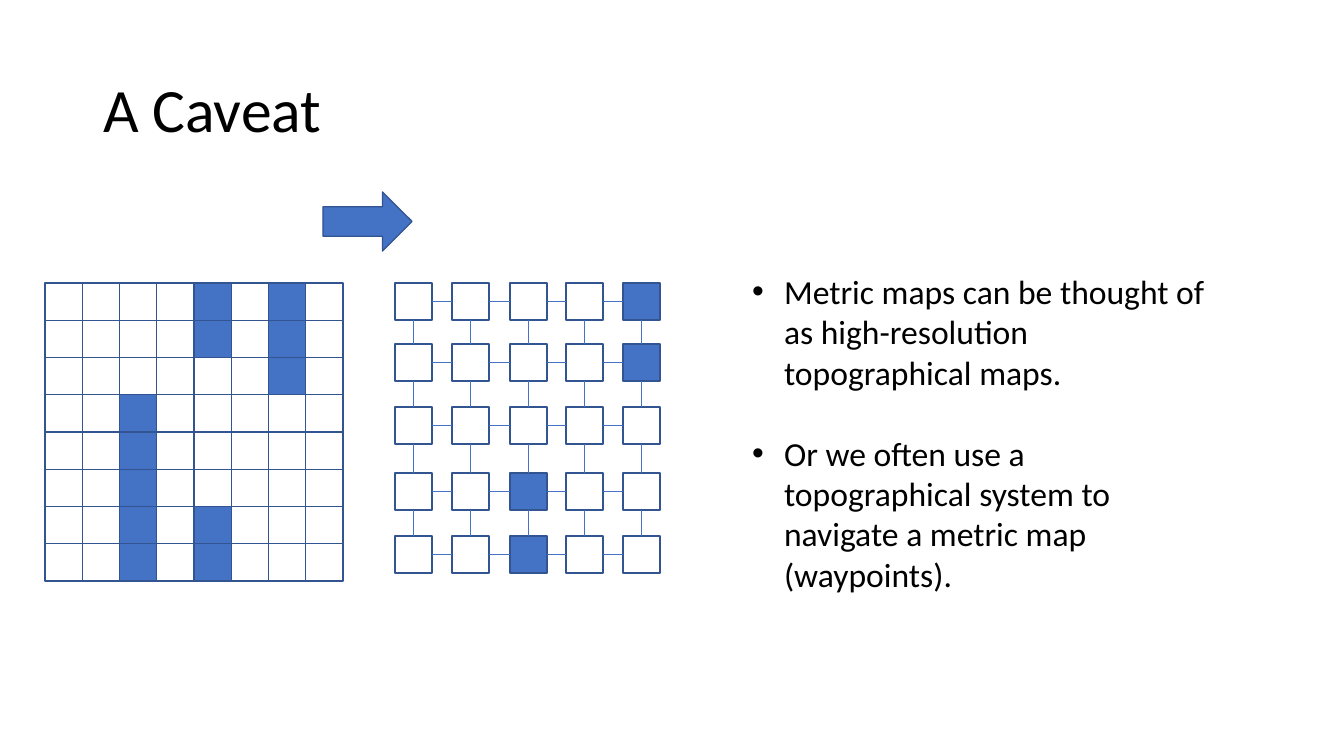
from pptx import Presentation
from pptx import util as u
from pptx.dml.color import RGBColor
from pptx.enum import shapes, text
from lxml import etree

EMU_PER_PX = 914400 / 100.8
BLUE, DARK_BLUE, WHITE, BLACK = "4472C4", "325491", "FFFFFF", "000000"
A_NS = "http://schemas.openxmlformats.org/drawingml/2006/main"
BOTTOM, RIGHT, TOP, LEFT = 2, 3, 0, 1

# "#" marks an occupied cell
METRIC_MAP = [
    "....#.#.",
    "....#.#.",
    "......#.",
    "..#.....",
    "..#.....",
    "..#.....",
    "..#.#...",
    "..#.#...",
]
TOPO_MAP = [
    "....#",
    "....#",
    ".....",
    "..#..",
    "..#..",
]
MAP_LEFT, MAP_TOP, MAP_SIZE = 45, 283, 298
NODE_LEFTS = [395, 452, 510, 566, 623]
NODE_TOPS = [283, 344, 407, 473, 536]
NODE_SIZE = 37

POINTS = [
    "Metric maps can be thought of as high-resolution topographical maps.",
    "Or we often use a topographical system to navigate a metric map (waypoints).",
]


def px(n):
    return u.Emu(round(n * EMU_PER_PX))


def rgb(color):
    return RGBColor.from_string(color)


def apply(obj, **values):
    for name, value in values.items():
        setattr(obj, name, value)


def place(sp, left, top, width, height):
    apply(sp, left=px(left), top=px(top), width=px(width), height=px(height))


def add_box(parent, kind, left, top, width, height, fill):
    sp = parent.add_shape(kind, px(left), px(top), px(width), px(height))
    sp.shadow.inherit = False
    sp.fill.solid()
    sp.fill.fore_color.rgb = rgb(fill)
    sp.line.color.rgb = rgb(DARK_BLUE)
    sp.line.width = u.Pt(1)
    return sp


def add_cell(parent, left, top, size, mark):
    fill = BLUE if mark == "#" else WHITE
    return add_box(parent, shapes.MSO_SHAPE.RECTANGLE, left, top, size, size, fill)


def add_link(parent, start, start_side, end, end_side):
    line = parent.add_connector(shapes.MSO_CONNECTOR.STRAIGHT, 0, 0, 0, 0)
    line.begin_connect(start, start_side)
    line.end_connect(end, end_side)
    line.line.color.rgb = rgb(BLUE)
    line.line.width = u.Pt(0.5)
    etree.SubElement(line._element.spPr, f"{{{A_NS}}}effectLst")


def add_metric_map(slide):
    group = slide.shapes.add_group_shape()
    step = MAP_SIZE / len(METRIC_MAP)
    for row, marks in enumerate(METRIC_MAP):
        for col, mark in enumerate(marks):
            add_cell(group.shapes, MAP_LEFT + col * step, MAP_TOP + row * step,
                     step, mark)


def add_topo_map(slide):
    nodes = [[add_cell(slide.shapes, left, top, NODE_SIZE, mark)
              for left, mark in zip(NODE_LEFTS, marks)]
             for top, marks in zip(NODE_TOPS, TOPO_MAP)]
    for row in nodes:
        for node, neighbour in zip(row, row[1:]):
            add_link(slide.shapes, node, RIGHT, neighbour, LEFT)
    for upper_row, lower_row in zip(nodes, nodes[1:]):
        for node, neighbour in zip(upper_row, lower_row):
            add_link(slide.shapes, node, BOTTOM, neighbour, TOP)


def format_paragraph(p, size, **values):
    apply(p, alignment=text.PP_ALIGN.LEFT, space_before=u.Pt(0), **values)
    apply(p.font, name="Calibri", size=u.Pt(size))
    p.font.color.rgb = rgb(BLACK)


def fill_title(sp, title):
    place(sp, 93, 40, 1159, 146)
    sp.text = title
    apply(sp.text_frame, vertical_anchor=text.MSO_ANCHOR.MIDDLE,
          auto_size=text.MSO_AUTO_SIZE.NONE)
    format_paragraph(sp.text_frame.paragraphs[0], 44, line_spacing=0.9)


def fill_points(sp, points):
    place(sp, 742, 266, 482, 336)
    tf = sp.text_frame
    tf.text = "\n".join(points)
    apply(tf, vertical_anchor=text.MSO_ANCHOR.TOP,
          auto_size=text.MSO_AUTO_SIZE.NONE, word_wrap=True)
    for i, p in enumerate(tf.paragraphs):
        pPr = p._p.get_or_add_pPr()
        pPr.set("marL", str(px(32)))
        pPr.set("indent", str(px(-32)))
        format_paragraph(p, 24, line_spacing=1.0)
        if i:
            p.space_before = u.Pt(29)


def main():
    prs = Presentation()
    apply(prs, slide_width=px(1344), slide_height=px(756))
    slide = prs.slides.add_slide(prs.slide_layouts[1])
    title, body = slide.placeholders
    fill_title(title, "A Caveat")
    fill_points(body, POINTS)
    add_metric_map(slide)
    add_topo_map(slide)
    add_box(slide.shapes, shapes.MSO_SHAPE.RIGHT_ARROW, 323, 192, 89, 59, BLUE)
    prs.save("out.pptx")


if __name__ == "__main__":
    main()
